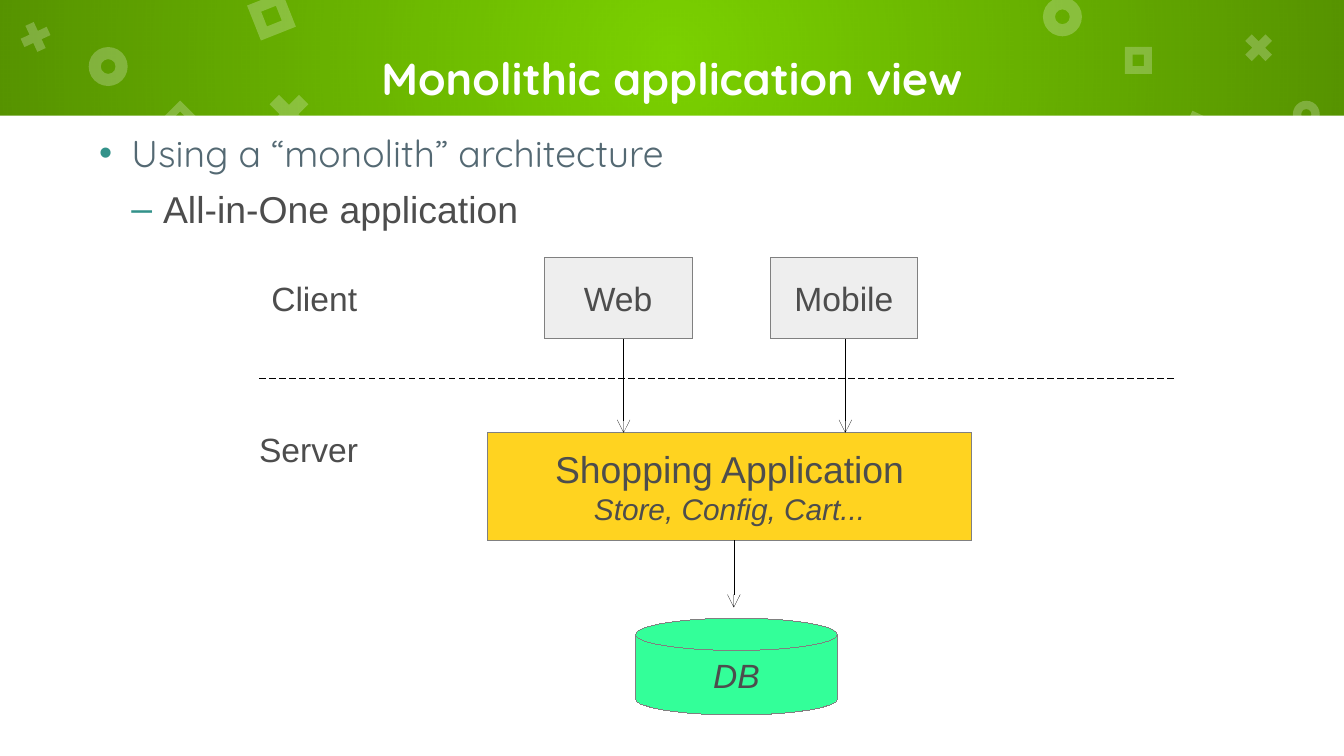
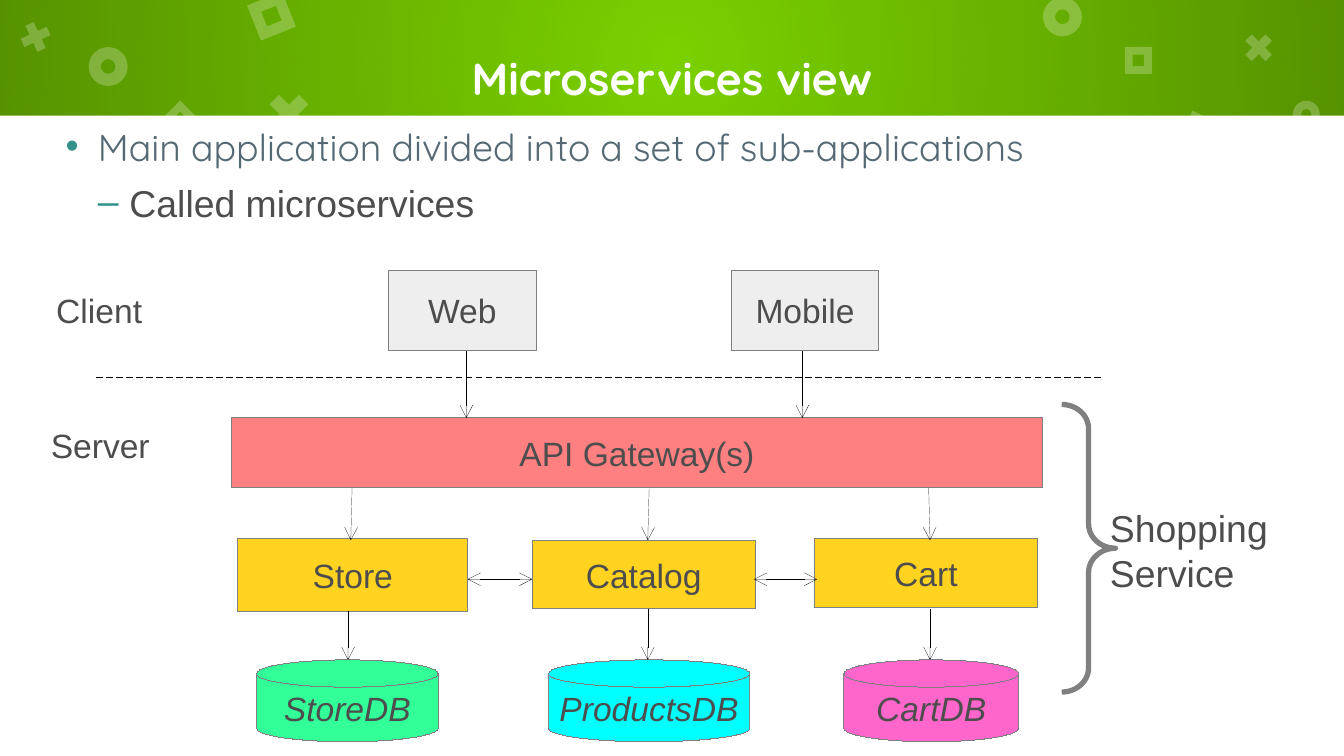
from dataclasses import dataclass
from typing import NamedTuple

from lxml import etree
from pptx import Presentation
from pptx.dml.color import RGBColor
from pptx.enum.dml import MSO_LINE
from pptx.enum.shapes import MSO_CONNECTOR, MSO_SHAPE
from pptx.enum.text import MSO_ANCHOR, MSO_AUTO_SIZE, PP_ALIGN
from pptx.oxml import parse_xml
from pptx.oxml.ns import nsdecls, qn
from pptx.util import Emu, Inches, Pt

RECT, DISK, BRACE = MSO_SHAPE.RECTANGLE, MSO_SHAPE.FLOWCHART_MAGNETIC_DISK, MSO_SHAPE.RIGHT_BRACE
RING, CROSS, FRAME = MSO_SHAPE.DONUT, MSO_SHAPE.MATH_MULTIPLY, MSO_SHAPE.FRAME
STRAIGHT, DASH = MSO_CONNECTOR.STRAIGHT, MSO_LINE.DASH
MIDDLE, TOP = MSO_ANCHOR.MIDDLE, MSO_ANCHOR.TOP
CENTER, LEFT = PP_ALIGN.CENTER, PP_ALIGN.LEFT
GROW = MSO_AUTO_SIZE.SHAPE_TO_FIT_TEXT

# The slide is a grid of square cells, 100 columns by 56.25 rows.
SLIDE_W, SLIDE_H = Inches(10), Inches(5.625)
COLUMNS, ROWS = 100, 56.25
CELL = SLIDE_W / COLUMNS
BAND_ROWS = 8.6

GREEN = RGBColor(0x7B, 0xD1, 0x00)
WHITE = RGBColor(0xFF, 0xFF, 0xFF)
BLACK = RGBColor(0x00, 0x00, 0x00)
TEAL = RGBColor(0x33, 0x92, 0x8A)
SLATE = RGBColor(0x54, 0x69, 0x73)
INK = RGBColor(0x4D, 0x4D, 0x4D)
GRAY = RGBColor(0x80, 0x80, 0x80)
CLIENT_GRAY = RGBColor(0xEE, 0xEE, 0xEE)
SERVICE_YELLOW = RGBColor(0xFF, 0xD3, 0x20)
GATEWAY_RED = RGBColor(0xFF, 0x80, 0x80)
STORE_GREEN = RGBColor(0x33, 0xFF, 0x99)
PRODUCTS_CYAN = RGBColor(0x00, 0xFF, 0xFF)
CART_PINK = RGBColor(0xFF, 0x66, 0xCC)

HEADING_FONT, DIAGRAM_FONT = "Quicksand", "Arial"


class Area(NamedTuple):
    left: float
    top: float
    width: float
    height: float


class Words(NamedTuple):
    text: str
    size: float = 18
    italic: bool = False
    font: str = DIAGRAM_FONT
    color: RGBColor = INK
    bold: bool = False


class Ornament(NamedTuple):
    kind: int
    left: float
    top: float
    size: float
    turn: float = 0


class Bullet(NamedTuple):
    words: Words
    mark: str
    level: int
    margin: float
    hang: float


@dataclass(frozen=True)
class Node:
    area: Area
    fill: RGBColor
    lines: tuple[Words, ...]
    kind: int = RECT


@dataclass(frozen=True)
class Link:
    x1: float
    y1: float
    x2: float
    y2: float
    both_ways: bool = False


@dataclass(frozen=True)
class Label:
    area: Area
    lines: tuple[Words, ...]


@dataclass(frozen=True)
class View:
    title: str
    body: Area
    topic: str
    detail: str
    nodes: tuple[Node, ...]
    links: tuple[Link, ...]
    labels: tuple[Label, ...]
    boundary: Link
    brace: Area | None = None


ORNAMENT_ADJUST = {RING: 0.31, CROSS: 0.235, FRAME: 0.289}
ORNAMENTS = (
    Ornament(RING, 6.6, 3.5, 2.9),
    Ornament(CROSS, 19.4, 6.4, 4.2),
    Ornament(FRAME, 18.8, -0.2, 2.8, 338.4),
    Ornament(RING, 77.6, -0.2, 2.9),
    Ornament(CROSS, 77.3, 8.4, 4.2, 17.5),
    Ornament(FRAME, 88, 8.7, 2.8, 25),
    Ornament(RING, 3, 10, 2),
    Ornament(CROSS, 1.2, 1.3, 2.9, 20.4),
    Ornament(FRAME, 12.4, 7.9, 2, 45),
    Ornament(RING, 96.2, 7.5, 2),
    Ornament(CROSS, 92.2, 2.1, 2.9),
    Ornament(FRAME, 83.7, 3.5, 2),
)


def client(name: str, left: float, top: float) -> Node:
    return Node(Area(left, top, 11, 6), CLIENT_GRAY, (Words(name),))


def database(name: str, area: Area, fill: RGBColor) -> Node:
    return Node(area, fill, (Words(name, italic=True),), DISK)


def service(name: str, area: Area) -> Node:
    return Node(area, SERVICE_YELLOW, (Words(name),))


def tier_labels(client_left: float, client_top: float,
                server_left: float, server_top: float) -> tuple[Label, ...]:
    return (Label(Area(client_left, client_top, 8.8, 4), (Words("Client"),)),
            Label(Area(server_left, server_top, 9.7, 4), (Words("Server"),)))


MONOLITH = View(
    title="Monolithic application view",
    body=Area(6.4, 8.7, 90, 9.6),
    topic="Using a “monolith” architecture",
    detail="All-in-One application",
    nodes=(
        client("Web", 40.5, 19.2),
        client("Mobile", 57.3, 19.2),
        database("DB", Area(47.3, 46, 15, 7.2), STORE_GREEN),
        Node(Area(36.3, 32.2, 36, 8), SERVICE_YELLOW,
             (Words("Shopping Application", 20), Words("Store, Config, Cart...", 16, True))),
    ),
    links=(*(Link(x, 25.2, x, 32.2) for x in (46.4, 62.9)), Link(54.6, 40.2, 54.6, 45.2)),
    labels=tier_labels(19.2, 20.2, 18.3, 31.4),
    boundary=Link(19.3, 28.2, 87.3, 28.2),
)

MICROSERVICES = View(
    title="Microservices view",
    body=Area(3.9, 8.2, 90, 44.5),
    topic="Main application divided into a set of sub-applications",
    detail="Called microservices",
    nodes=(
        database("StoreDB", Area(19.1, 49.1, 13.5, 6.1), STORE_GREEN),
        database("ProductsDB", Area(40.8, 49.1, 15, 6.1), PRODUCTS_CYAN),
        database("CartDB", Area(62.8, 49.1, 13, 6.1), CART_PINK),
        Node(Area(17.2, 31.1, 60.4, 5.2), GATEWAY_RED, (Words("API Gateway(s)"),)),
        service("Catalog", Area(39.6, 40.2, 16.6, 5.1)),
        service("Cart", Area(60.6, 40.1, 16.6, 5.1)),
        service("Store", Area(17.7, 40.1, 17.1, 5.4)),
        client("Web", 28.9, 20.1),
        client("Mobile", 54.4, 20.1),
    ),
    links=(
        *(Link(x, 26.1, x, 31.1) for x in (34.7, 59.7)),
        *(Link(x1, 36.3, x2, 40.2) for x1, x2 in ((26.2, 26.1), (48.3, 48.2), (69.1, 69.2))),
        *(Link(x, y, x, 49.1) for x, y in ((25.9, 45.5), (48.2, 45.3), (69.2, 45.3))),
        *(Link(x1, 43.1, x2, 43.1, True) for x1, x2 in ((34.8, 39.6), (56.1, 60.8))),
    ),
    labels=(
        *tier_labels(3.2, 21.1, 2.8, 31.1),
        Label(Area(81.6, 37.1, 14.2, 7.7), (Words("Shopping", 20), Words("Service", 20))),
    ),
    boundary=Link(7.2, 28.1, 82.2, 28.1),
    brace=Area(79, 30.1, 4, 21.4),
)


def cells(count: float) -> Emu:
    return Emu(round(count * CELL))


def place(area: Area) -> list[Emu]:
    return [cells(length) for length in area]


def add_plain_shape(slide, kind: int, area: Area, fill: RGBColor | None):
    shape = slide.shapes.add_shape(kind, *place(area))
    shape.shadow.inherit = False
    shape.line.fill.background()
    if fill is None:
        shape.fill.background()
    else:
        shape.fill.solid()
        shape.fill.fore_color.rgb = fill
    return shape


def set_hairline(shape, color: RGBColor) -> None:
    """Write a zero width outright, since a missing one falls back to the theme's."""
    shape.line.color.rgb = color
    shape.element.spPr.find(qn("a:ln")).set("w", "0")


def set_frame(frame, anchor, wraps: bool, inset_rows: float) -> None:
    frame.word_wrap = wraps
    frame.vertical_anchor = anchor
    frame.margin_left = frame.margin_right = cells(1)
    frame.margin_top = frame.margin_bottom = cells(inset_rows)


def write(frame, lines: tuple[Words, ...], align) -> None:
    for index, words in enumerate(lines):
        paragraph = frame.add_paragraph() if index else frame.paragraphs[0]
        paragraph.alignment = align
        run = paragraph.add_run()
        run.text = words.text
        run.font.name, run.font.size = words.font, Pt(words.size)
        run.font.bold, run.font.italic = words.bold, words.italic
        run.font.color.rgb = words.color


def shade_radially(shape) -> None:
    """Darken the shape from a clear centre to its edges."""
    stops = "".join(
        f'<a:gs pos="{pos}"><a:srgbClr val="{BLACK}"><a:alpha val="{alpha}"/></a:srgbClr></a:gs>'
        for pos, alpha in ((0, 0), (100000, 30000)))
    gradient = parse_xml(
        f'<a:gradFill {nsdecls("a")} rotWithShape="1"><a:gsLst>{stops}</a:gsLst>'
        '<a:path path="circle"><a:fillToRect l="50000" t="50000" r="50000" b="50000"/></a:path>'
        '</a:gradFill>')
    properties = shape.element.spPr
    properties.replace(properties.find(qn("a:solidFill")), gradient)


def decorate_layout(layout, slide) -> None:
    """Build the shared band and ornaments, then hand them to the layout."""
    layout.background.fill.solid()
    layout.background.fill.fore_color.rgb = GREEN
    for placeholder in list(layout.placeholders):
        placeholder.element.getparent().remove(placeholder.element)
    band = add_plain_shape(slide, RECT, Area(0, 0, COLUMNS, BAND_ROWS), BLACK)
    shade_radially(band)
    page = add_plain_shape(slide, RECT, Area(0, BAND_ROWS, COLUMNS, ROWS - BAND_ROWS), WHITE)
    decor = [band, page]
    for item in ORNAMENTS:
        shape = add_plain_shape(slide, item.kind, Area(item.left, item.top, item.size, item.size), WHITE)
        shape.adjustments[0] = ORNAMENT_ADJUST[item.kind]
        shape.rotation = item.turn
        color = shape.element.spPr.find(qn("a:solidFill"))[0]
        etree.SubElement(color, qn("a:alpha"), val="24000")
        decor.append(shape)
    for shape in decor:
        layout.shapes.element.append(shape.element)


def add_text_area(slide, area: Area, anchor, inset_rows: float, lines: tuple[Words, ...], align):
    frame = slide.shapes.add_textbox(*place(area)).text_frame
    set_frame(frame, anchor, True, inset_rows)
    write(frame, lines, align)
    return frame


def add_body(slide, view: View) -> None:
    bullets = (Bullet(Words(view.topic, 20, font=HEADING_FONT, color=SLATE), "•", 0, 2.4, 2.4),
               Bullet(Words(view.detail, 20), "–", 1, 4.75, 2.35))
    frame = add_text_area(slide, view.body, TOP, 1, tuple(item.words for item in bullets), LEFT)
    for paragraph, bullet in zip(frame.paragraphs, bullets):
        paragraph.level = bullet.level
        paragraph.space_before = Pt(6)
        properties = paragraph._p.get_or_add_pPr()
        properties.set("marL", str(cells(bullet.margin)))
        properties.set("indent", str(-cells(bullet.hang)))
        color = etree.SubElement(properties, qn("a:buClr"))
        etree.SubElement(color, qn("a:srgbClr"), val=str(TEAL))
        etree.SubElement(properties, qn("a:buFont"), typeface=DIAGRAM_FONT)
        etree.SubElement(properties, qn("a:buChar"), char=bullet.mark)


def add_node(slide, node: Node) -> None:
    shape = add_plain_shape(slide, node.kind, node.area, node.fill)
    set_hairline(shape, GRAY)
    set_frame(shape.text_frame, MIDDLE, False, 0.5)
    write(shape.text_frame, node.lines, CENTER)


def add_line(slide, link: Link):
    ends = [cells(value) for value in (link.x1, link.y1, link.x2, link.y2)]
    line = slide.shapes.add_connector(STRAIGHT, *ends)
    set_hairline(line, BLACK)
    etree.SubElement(line.element.spPr, qn("a:effectLst"))
    return line


def add_arrow(slide, link: Link) -> None:
    outline = add_line(slide, link).element.spPr.find(qn("a:ln"))
    for end in ("a:headEnd", "a:tailEnd") if link.both_ways else ("a:tailEnd",):
        etree.SubElement(outline, qn(end), type="arrow")


def add_brace(slide, area: Area) -> None:
    brace = add_plain_shape(slide, BRACE, area, None)
    brace.adjustments[0] = 0.45
    brace.line.color.rgb = GRAY
    brace.line.width = Pt(2.83)


def draw_view(slide, view: View) -> None:
    title = Words(view.title, 24, font=HEADING_FONT, color=WHITE, bold=True)
    add_text_area(slide, Area(9.5, 0, 81, 11.6), MIDDLE, 1, (title,), CENTER)
    add_body(slide, view)
    for node in view.nodes:
        add_node(slide, node)
    for link in view.links:
        add_arrow(slide, link)
    add_line(slide, view.boundary).line.dash_style = DASH
    if view.brace:
        add_brace(slide, view.brace)
    for label in view.labels:
        add_text_area(slide, label.area, TOP, 0.5, label.lines, LEFT).auto_size = GROW


def main() -> None:
    deck = Presentation()
    deck.slide_width, deck.slide_height = SLIDE_W, SLIDE_H
    blank = deck.slide_layouts[6]
    slides = [(deck.slides.add_slide(blank), view) for view in (MONOLITH, MICROSERVICES)]
    decorate_layout(blank, slides[0][0])
    for slide, view in slides:
        draw_view(slide, view)
    deck.save("out.pptx")


if __name__ == "__main__":
    main()
